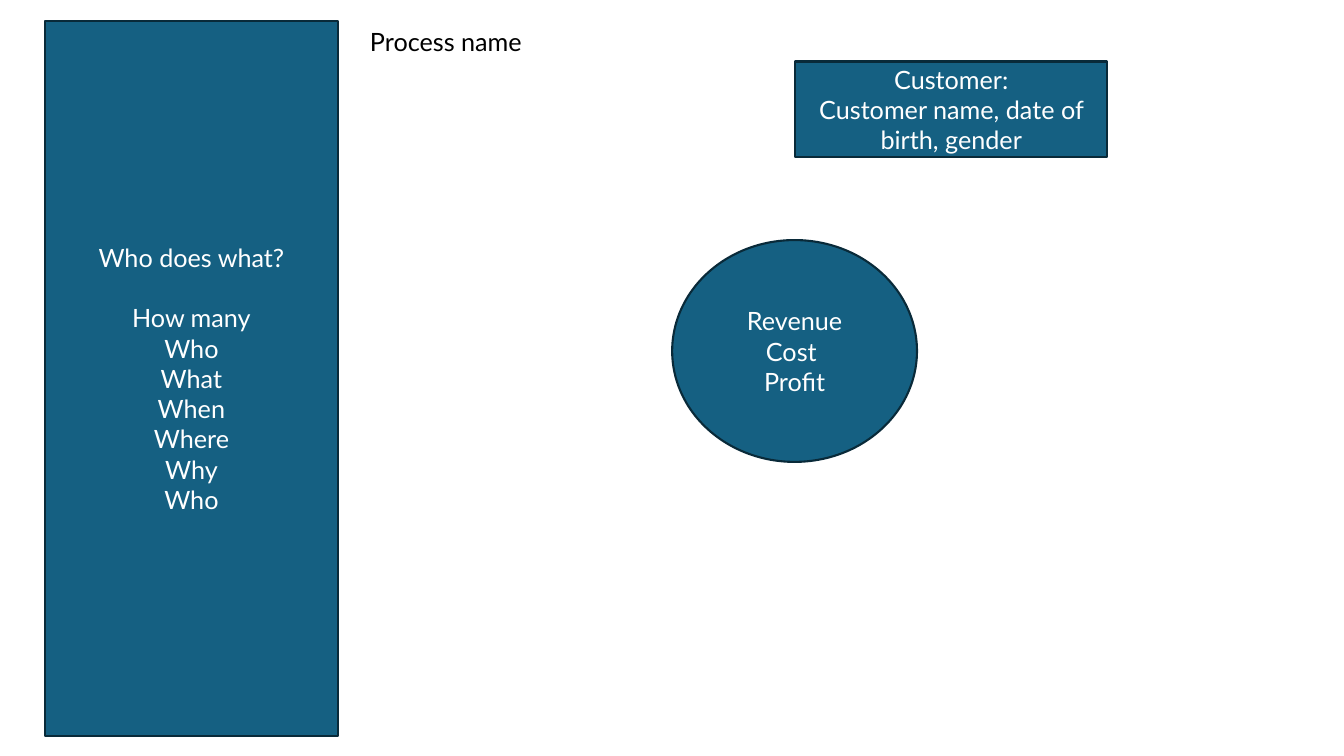
import dataclasses
import pptx
import pptx.dml.color
import pptx.enum.shapes
import pptx.enum.text
import pptx.util

Cm, Pt = pptx.util.Cm, pptx.util.Pt
Color = pptx.dml.color.RGBColor.from_string
Shape = pptx.enum.shapes.MSO_SHAPE
Align = pptx.enum.text.PP_ALIGN
Anchor = pptx.enum.text.MSO_ANCHOR
Fit = pptx.enum.text.MSO_AUTO_SIZE


@dataclasses.dataclass(frozen=True)
class Theme:
    """Holds the colours and type of the slide."""
    fill: str = "156082"
    edge: str = "092A39"
    light: str = "FFFFFF"
    dark: str = "000000"
    font: str = "Lato"
    size: float = 18
    line: float = 1.5
    gap: float = 21.6


THEME = Theme()


def style(item, values):
    """Set each named value on an item."""
    for name, value in values.items():
        setattr(item, name, value)


def place(shape, box):
    """Move a shape to a box given in centimetres."""
    style(shape, dict(zip(("left", "top", "width", "height"), map(Cm, box))))


def write(shape, lines, color, align, anchor, fit=Fit.NONE):
    """Write one paragraph per line in the theme type."""
    frame = shape.text_frame
    style(frame, {"text": "\n".join(lines), "word_wrap": True,
                  "vertical_anchor": anchor, "auto_size": fit})
    for para in frame.paragraphs:
        style(para, {"alignment": align, "line_spacing": 1.0, "space_before": Pt(0)})
        for run in para.runs:
            style(run.font, {"name": THEME.font, "size": Pt(THEME.size)})
            run.font.color.rgb = Color(color)


def head(slide, box, text):
    """Place the slide title in its box."""
    title = slide.shapes.title
    place(title, box)
    write(title, [text], THEME.dark, Align.LEFT, Anchor.TOP, Fit.SHAPE_TO_FIT_TEXT)


def block(slide, box, kind, lines):
    """Draw a filled shape with centred lines of text."""
    shape = slide.shapes.add_shape(kind, *map(Cm, box))
    shape.shadow.inherit = False
    shape.fill.solid()
    shape.fill.fore_color.rgb = Color(THEME.fill)
    shape.line.color.rgb = Color(THEME.edge)
    shape.line.width = Pt(THEME.line)
    write(shape, lines, THEME.light, Align.CENTER, Anchor.MIDDLE)
    return shape


def panel(slide, box, lead, items):
    """Draw the question panel with a gap below its lead."""
    shape = block(slide, box, Shape.RECTANGLE, [lead, *items])
    shape.text_frame.paragraphs[0].space_after = Pt(THEME.gap)


def main():
    """Build the slide and save it."""
    deck = pptx.Presentation()
    style(deck, {"slide_width": Cm(33.87), "slide_height": Cm(19.05)})
    slide = deck.slides.add_slide(deck.slide_layouts[5])
    panel(slide, (1.14, 0.53, 7.37, 18.01), "Who does what?",
          ["How many", "Who", "What", "When", "Where", "Why", "Who"])
    head(slide, (9.07, 0.53, 8.41, 1.02), "Process name")
    block(slide, (16.94, 6.05, 6.17, 5.59), Shape.OVAL,
          ["Revenue", "Cost ", "Profit"])
    block(slide, (20.04, 1.55, 7.87, 2.41), Shape.RECTANGLE,
          ["Customer:", "Customer name, date of birth, gender"])
    deck.save("out.pptx")


if __name__ == "__main__":
    main()
